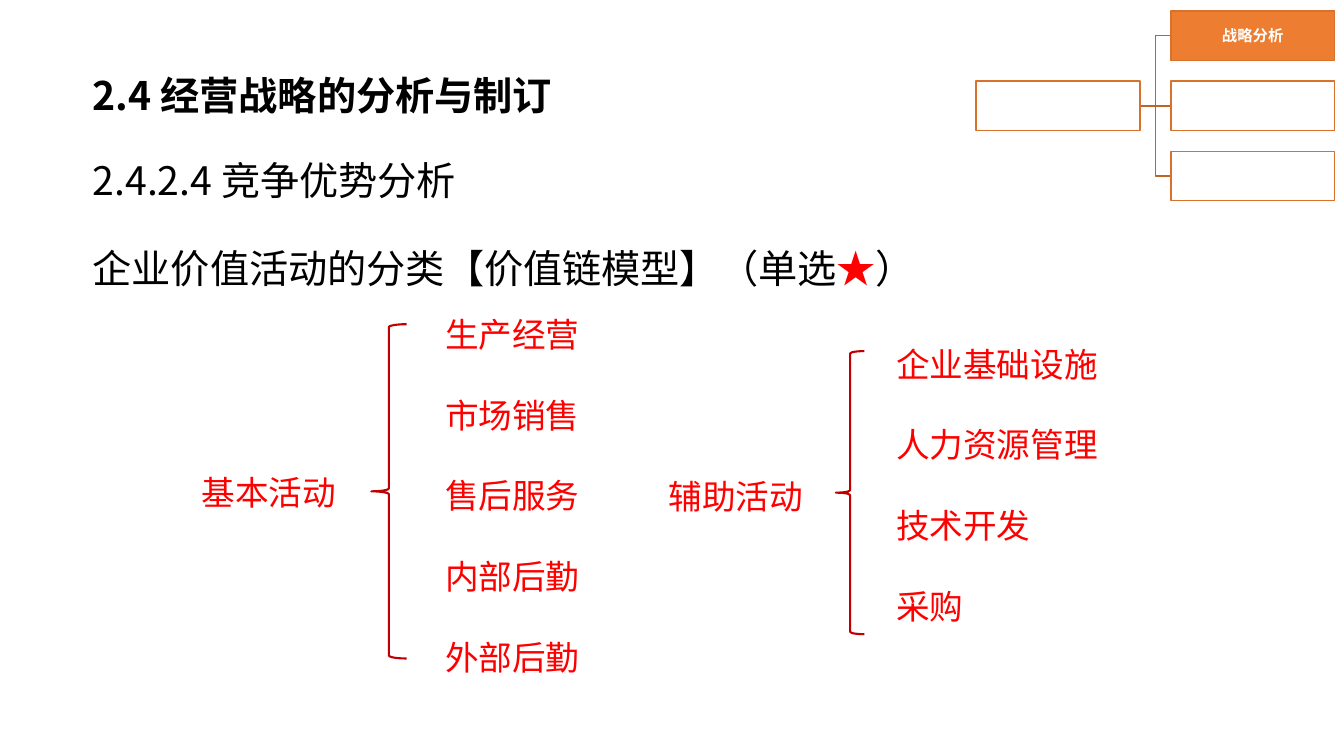
from lxml import etree
from pptx import Presentation
from pptx.dml.color import RGBColor
from pptx.enum.shapes import MSO_CONNECTOR, MSO_SHAPE
from pptx.enum.text import MSO_ANCHOR, PP_ALIGN
from pptx.oxml.ns import qn
from pptx.util import Inches, Pt

RECT, BRACE = MSO_SHAPE.RECTANGLE, MSO_SHAPE.LEFT_BRACE
ELBOW, LINE = MSO_CONNECTOR.ELBOW, MSO_CONNECTOR.STRAIGHT
TOP, MID = MSO_ANCHOR.TOP, MSO_ANCHOR.MIDDLE
CENTER = PP_ALIGN.CENTER

COLORS = {"ink": "000000", "red": "FF0000", "brace": "C00000", "white": "FFFFFF",
          "node": "ED7D31", "edge": "D7712C", "link": "BE6427"}
SC, JP = "Noto Sans CJK SC", "Noto Sans CJK JP"

# Grid of 160 columns and 90 rows
WIDE, HIGH = Inches(13.33), Inches(7.5)
COL, ROW = WIDE / 160, HIGH / 90
LEFT = 9.6


def grid(x, y, w, h):
    return round(x * COL), round(y * ROW), round(w * COL), round(h * ROW)


def color(name):
    return RGBColor.from_string(COLORS[name])


def style(run, size, name, face, bold=False):
    font = run.font
    font.size, font.bold = Pt(size), bold
    font.color.rgb = color(name)
    font.name = face
    east = etree.SubElement(run._r.get_or_add_rPr(), qn("a:ea"))
    east.set("typeface", face)


def frame(slide, cell, anchor, pad):
    """Add a text box; pad holds the side and top insets in inches."""
    text = slide.shapes.add_textbox(*grid(*cell)).text_frame
    text.word_wrap, text.vertical_anchor = True, anchor
    text.margin_left = text.margin_right = Inches(pad[0])
    text.margin_top = text.margin_bottom = Inches(pad[1])
    return text


def title(slide, cell, parts, anchor=MID, space=1.5, bold=False):
    """Add a heading from (text, colour) parts."""
    para = frame(slide, cell, anchor, (0.12, 0.06)).paragraphs[0]
    para.line_spacing = space
    for words, name in parts:
        run = para.add_run()
        run.text = words
        style(run, 28, name, SC, bold)


def items(slide, cell, lines, anchor=TOP):
    """Add red lines, each a full line apart."""
    text = frame(slide, cell, anchor, (0.1, 0.05))
    text.text = "\n".join(lines)
    for i, para in enumerate(text.paragraphs):
        para.line_spacing = Pt(28.8)
        if i:
            para.space_before = Pt(28.8)
        style(para.runs[0], 24, "red", JP)


def shape(slide, kind, cell, fill, line, width):
    form = slide.shapes.add_shape(kind, *grid(*cell))
    form.shadow.inherit = False
    if fill:
        form.fill.solid()
        form.fill.fore_color.rgb = color(fill)
    else:
        form.fill.background()
    form.line.color.rgb = color(line)
    form.line.width = Pt(width)
    return form


def branch(slide, label, brace, cell, lines):
    """Add a label, its brace and the items it covers."""
    items(slide, label, [lines[0]], MID)
    shape(slide, BRACE, brace, None, "brace", 1.5)
    items(slide, cell, lines[1:])


def link(slide, kind, x1, y1, x2, y2):
    wire = slide.shapes.add_connector(
        kind, round(x1 * COL), round(y1 * ROW), round(x2 * COL), round(y2 * ROW))
    wire.line.color.rgb = color("link")
    wire.line.width = Pt(1)
    etree.SubElement(wire._element.spPr, qn("a:effectLst"))


def tree(slide):
    """Add the small outline: one root and three leaves."""
    root, leaf, wide, high = 116.2, 139.4, 19.5, 5.9
    tops = [1.3 + 8.35 * i for i in range(3)]
    mid = tops[1] + high / 2
    for top in tops:
        kind = LINE if top == tops[1] else ELBOW
        link(slide, kind, root + wide, mid, leaf, top + high / 2)
    shape(slide, RECT, (root, tops[1], wide, high), "white", "edge", 1)
    for top, fill in zip(tops, ("node", "white", "white")):
        node = shape(slide, RECT, (leaf, top, wide, high), fill, "edge", 1)
        if fill == "node":
            text = node.text_frame
            text.text = "战略分析"
            text.vertical_anchor = MID
            text.paragraphs[0].alignment = CENTER
            style(text.paragraphs[0].runs[0], 11, "white", SC, True)


def main():
    deck = Presentation()
    deck.slide_width, deck.slide_height = WIDE, HIGH
    slide = deck.slides.add_slide(deck.slide_layouts[6])

    # Headings
    title(slide, (LEFT, 7.8, 137.4, 7.1), [("2.4 经营战略的分析与制订", "ink")],
          TOP, 1, True)
    title(slide, (LEFT, 13.8, 146, 12.5), [("2.4.2.4 竞争优势分析", "ink")])
    title(slide, (LEFT, 24.2, 146, 12.5),
          [("企业价值活动的分类【价值链模型】（单选", "ink"), ("★", "red"), ("）", "ink")])

    # Value activities
    branch(slide, (22.8, 55.6, 21.4, 6), (44.2, 38.6, 4.2, 39.8),
           (51.8, 36.8, 23.4, 49.7),
           ["基本活动", "生产经营", "市场销售", "售后服务", "内部后勤", "外部后勤"])
    branch(slide, (78.4, 56, 21.4, 6), (99.5, 41.8, 3.4, 33.7),
           (105.5, 40.3, 30, 35.2),
           ["辅助活动", "企业基础设施", "人力资源管理", "技术开发", "采购"])

    # Outline
    tree(slide)
    deck.save("out.pptx")


if __name__ == "__main__":
    main()
